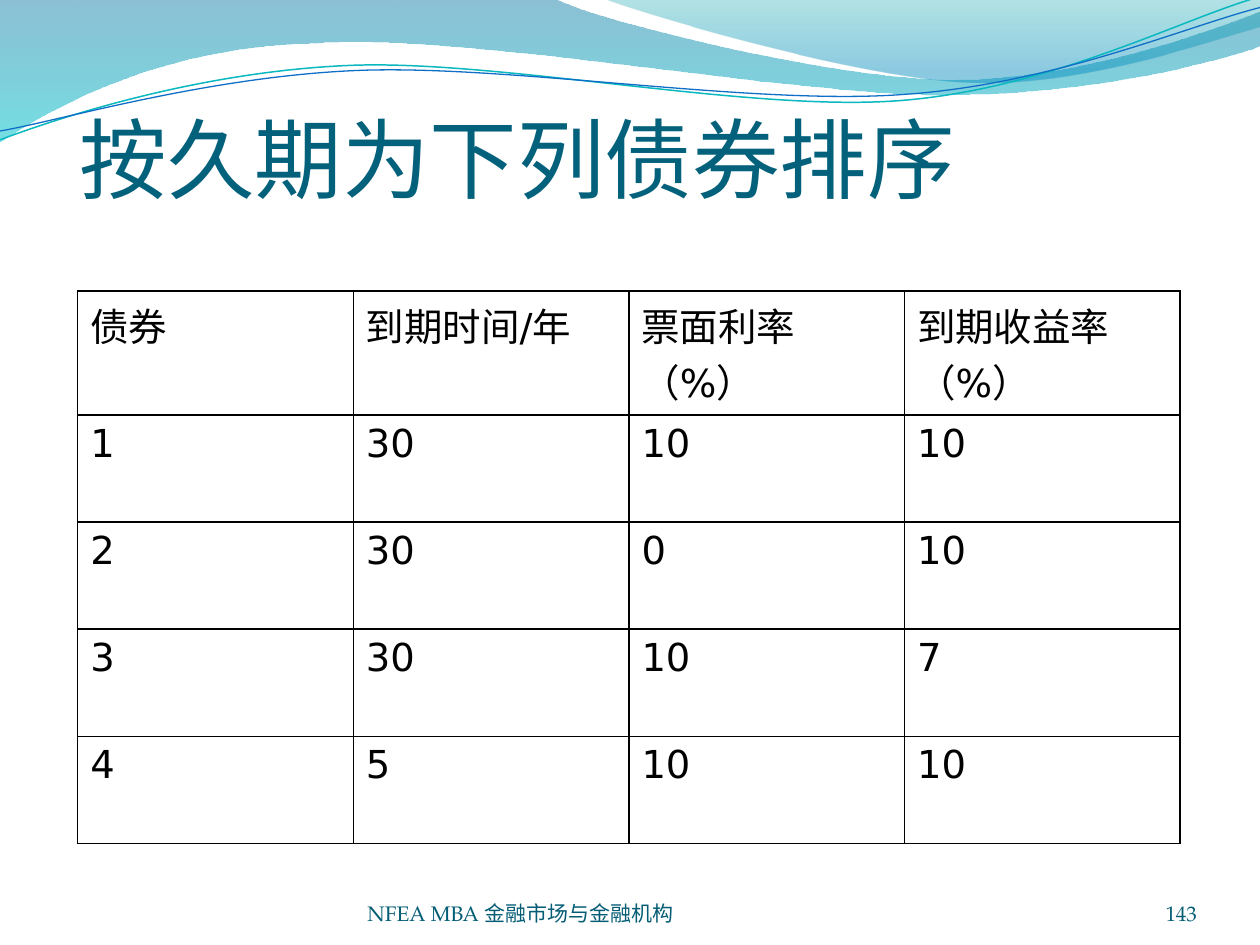
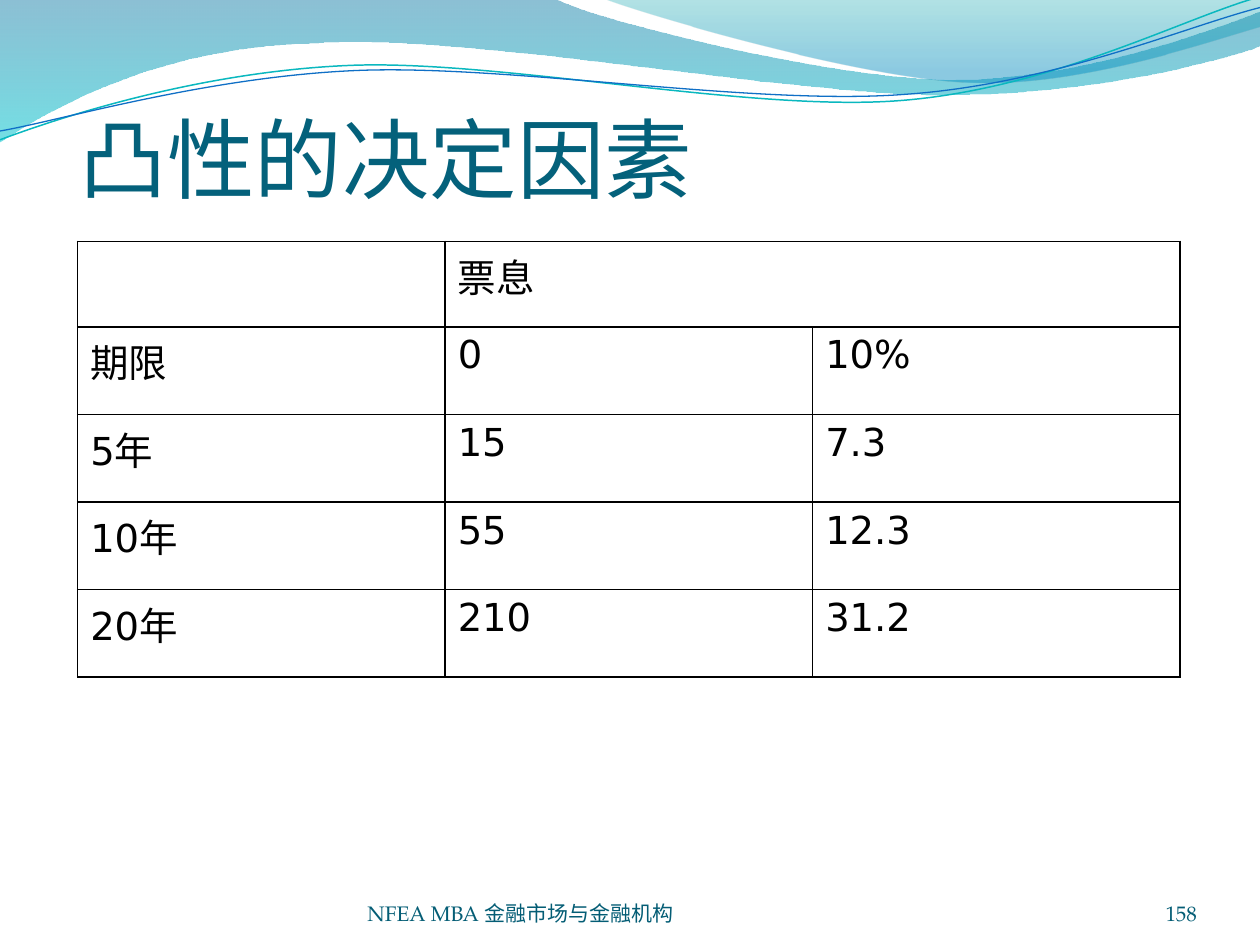
"""Build two finance slides, each with a wave band, a title, a table and a footer."""
from lxml import etree
from pptx import Presentation
from pptx.dml.color import RGBColor
from pptx.enum.text import MSO_ANCHOR, MSO_AUTO_SIZE, PP_ALIGN
from pptx.oxml.ns import qn
from pptx.util import Emu, Inches, Pt

BOTTOM = MSO_ANCHOR.BOTTOM
NO_AUTOFIT = MSO_AUTO_SIZE.NONE
LEFT, RIGHT = PP_ALIGN.LEFT, PP_ALIGN.RIGHT

SLIDE_WIDTH, SLIDE_HEIGHT = Inches(10), Inches(7.5)
COLUMN, ROW = SLIDE_WIDTH // 12, SLIDE_HEIGHT // 30
TITLE_ONLY = 5
TITLE_COLOR, FOOTER_COLOR, TABLE_COLOR = "04617B", "045D75", "000000"
TITLE_FONT, FOOTER_FONT, TABLE_FONT = "Calibri", "TeX Gyre Pagella", "DejaVu Sans"
FOOTER_TEXT = "NFEA MBA 金融市场与金融机构"

WAVE_FILLS = [
    {
        "start": (0, 0),
        "segments": [
            (4.4, -0.01),
            (4.76, 0.17, 6.64, 0.63, 7.58, 0.63),
            (8.53, 0.63, 9.58, 0.26, 10, 0.09),
            (10.01, 0.36),
            (9.83, 0.44, 8.7, 0.76, 7.46, 0.75),
            (6.22, 0.75, 3.82, 0.28, 2.57, 0.34),
            (1.29, 0.36, 0.46, 0.83, -0.01, 1.13),
            (0, 0),
        ],
        "stops": [(0, "0074A1", 45), (1, "00C6CF", 55)],
    },
    {
        "start": (4.79, -0.01),
        "segments": [
            (5.09, 0.11, 6.82, 0.62, 7.69, 0.65),
            (8.56, 0.69, 9.61, 0.32, 10, 0.21),
            (10, 0),
            (4.79, -0.01),
        ],
        "stops": [(0, "00A1A9", 30), (0.8, "008BBF", 45)],
    },
]
WAVE_LINES = [
    {
        "start": (0, 1.11),
        "segments": [
            (0.48, 0.93, 1.58, 0.57, 2.77, 0.52),
            (3.95, 0.47, 5.93, 0.89, 7.13, 0.8),
            (8.33, 0.71, 9.38, 0.15, 9.98, -0.02),
        ],
        "line": ("0AB8BF", 0.85),
    },
    {
        "start": (0, 1.04),
        "segments": [
            (0.47, 0.96, 1.64, 0.61, 2.83, 0.56),
            (4.03, 0.51, 5.97, 0.84, 7.17, 0.75),
            (8.36, 0.67, 9.41, 0.21, 10, 0.06),
        ],
        "line": ("0F6FC6", 0.75),
    },
]
SLIDES = [
    {
        "title": "按久期为下列债券排序",
        "number": "143",
        "table_top": 9.24,
        "header_rows": 3.4,
        "body_rows": 3.4,
        "cells": [
            ["债券", "到期时间/年", "票面利率（%）", "到期收益率（%）"],
            ["1", "30", "10", "10"],
            ["2", "30", "0", "10"],
            ["3", "30", "10", "7"],
            ["4", "5", "10", "10"],
        ],
    },
    {
        "title": "凸性的决定因素",
        "number": "158",
        "table_top": 7.66,
        "header_rows": 2.72,
        "body_rows": 2.78,
        "cells": [
            ["", "票息", None],
            ["期限", "0", "10%"],
            ["5年", "15", "7.3"],
            ["10年", "55", "12.3"],
            ["20年", "210", "31.2"],
        ],
    },
]


def color(hex_string):
    """Return the colour of a hex string."""
    return RGBColor.from_string(hex_string)


def grid(columns, rows):
    """Return a horizontal and a vertical length on the slide grid."""
    return Emu(round(columns * COLUMN)), Emu(round(rows * ROW))


presentation = Presentation()
presentation.slide_width, presentation.slide_height = SLIDE_WIDTH, SLIDE_HEIGHT
layout = presentation.slide_layouts[TITLE_ONLY]
slides = [presentation.slides.add_slide(layout) for _ in SLIDES]

master_tree = presentation.slide_master.shapes.element
for position, wave in enumerate(WAVE_FILLS + WAVE_LINES):
    points = [
        (Inches(x), Inches(y))
        for segment in [wave["start"], *wave["segments"]]
        for x, y in zip(segment[::2], segment[1::2])
    ]
    builder = slides[0].shapes.build_freeform(*points[0])
    builder.add_line_segments(points[1:], close="stops" in wave)
    shape = builder.convert_to_shape()
    shape.shadow.inherit = False

    steps = iter(list(shape.element.iter(qn("a:lnTo"))))
    for segment in wave["segments"]:
        first_step = next(steps)
        if len(segment) == 6:
            first_step.tag = qn("a:cubicBezTo")
            for step in (next(steps), next(steps)):
                first_step.append(step[0])
                step.getparent().remove(step)

    if "stops" in wave:
        shape.line.fill.background()
        shape.fill.gradient()
        shape.fill.gradient_angle = 270
        for stop, (offset, stop_color, _) in zip(shape.fill.gradient_stops, wave["stops"]):
            stop.position = offset
            stop.color.rgb = color(stop_color)
        gradient_colors = shape.element.iter(qn("a:srgbClr"))
        for element, (_, _, opacity) in zip(gradient_colors, wave["stops"]):
            etree.SubElement(element, qn("a:alpha"), val=str(opacity * 1000))
    else:
        line_color, line_width = wave["line"]
        shape.fill.background()
        shape.line.color.rgb = color(line_color)
        shape.line.width = Pt(line_width)
    master_tree.insert(2 + position, shape.element)

for slide, content in zip(slides, SLIDES):
    title = slide.shapes.title
    title.left, title.top = grid(0.76, 1.34)
    title.width, title.height = grid(10.5, 5.32)
    frame = title.text_frame
    frame.text = content["title"]
    frame.auto_size = NO_AUTOFIT
    frame.vertical_anchor = BOTTOM
    frame.margin_left = frame.margin_right = frame.margin_bottom = 0
    frame.margin_top = Inches(0.05)
    paragraph = frame.paragraphs[0]
    paragraph.alignment = LEFT
    paragraph.font.name = TITLE_FONT
    paragraph.font.size = Pt(50)
    paragraph.font.color.rgb = color(TITLE_COLOR)

    cells = content["cells"]
    row_heights = [content["header_rows"]] + [content["body_rows"]] * (len(cells) - 1)
    table_shape = slide.shapes.add_table(
        len(cells), len(cells[0]),
        *grid(0.74, content["table_top"]), *grid(10.5, sum(row_heights)),
    )
    table = table_shape.table
    table.first_row = table.horz_banding = False
    for row_index, row_texts in enumerate(cells):
        table.rows[row_index].height = grid(0, row_heights[row_index])[1]
        for column_index, text in enumerate(row_texts):
            cell = table.cell(row_index, column_index)
            cell.fill.background()
            if text is None:
                table.cell(row_index, column_index - 1).merge(cell)
            elif text:
                cell.text = text
                paragraph = cell.text_frame.paragraphs[0]
                paragraph.font.name = TABLE_FONT
                paragraph.font.size = Pt(22)
                paragraph.font.color.rgb = color(TABLE_COLOR)
    for properties in table_shape.element.iter(qn("a:tcPr")):
        for side_index, side in enumerate(("a:lnL", "a:lnR", "a:lnT", "a:lnB")):
            border = etree.Element(qn(side), w=str(Pt(1)))
            border_fill = etree.SubElement(border, qn("a:solidFill"))
            etree.SubElement(border_fill, qn("a:srgbClr"), val=TABLE_COLOR)
            properties.insert(side_index, border)

    for text, left, width, alignment in (
        (FOOTER_TEXT, 3.5, 4.4, LEFT),
        (content["number"], 10.4, 1, RIGHT),
    ):
        footer = slide.shapes.add_textbox(*grid(left, 27.8), *grid(width, 1.6))
        frame = footer.text_frame
        frame.text = text
        frame.word_wrap = True
        frame.vertical_anchor = BOTTOM
        frame.margin_left = frame.margin_top = frame.margin_right = frame.margin_bottom = 0
        paragraph = frame.paragraphs[0]
        paragraph.alignment = alignment
        paragraph.font.name = FOOTER_FONT
        paragraph.font.size = Pt(12)
        paragraph.font.color.rgb = color(FOOTER_COLOR)

presentation.save("out.pptx")
